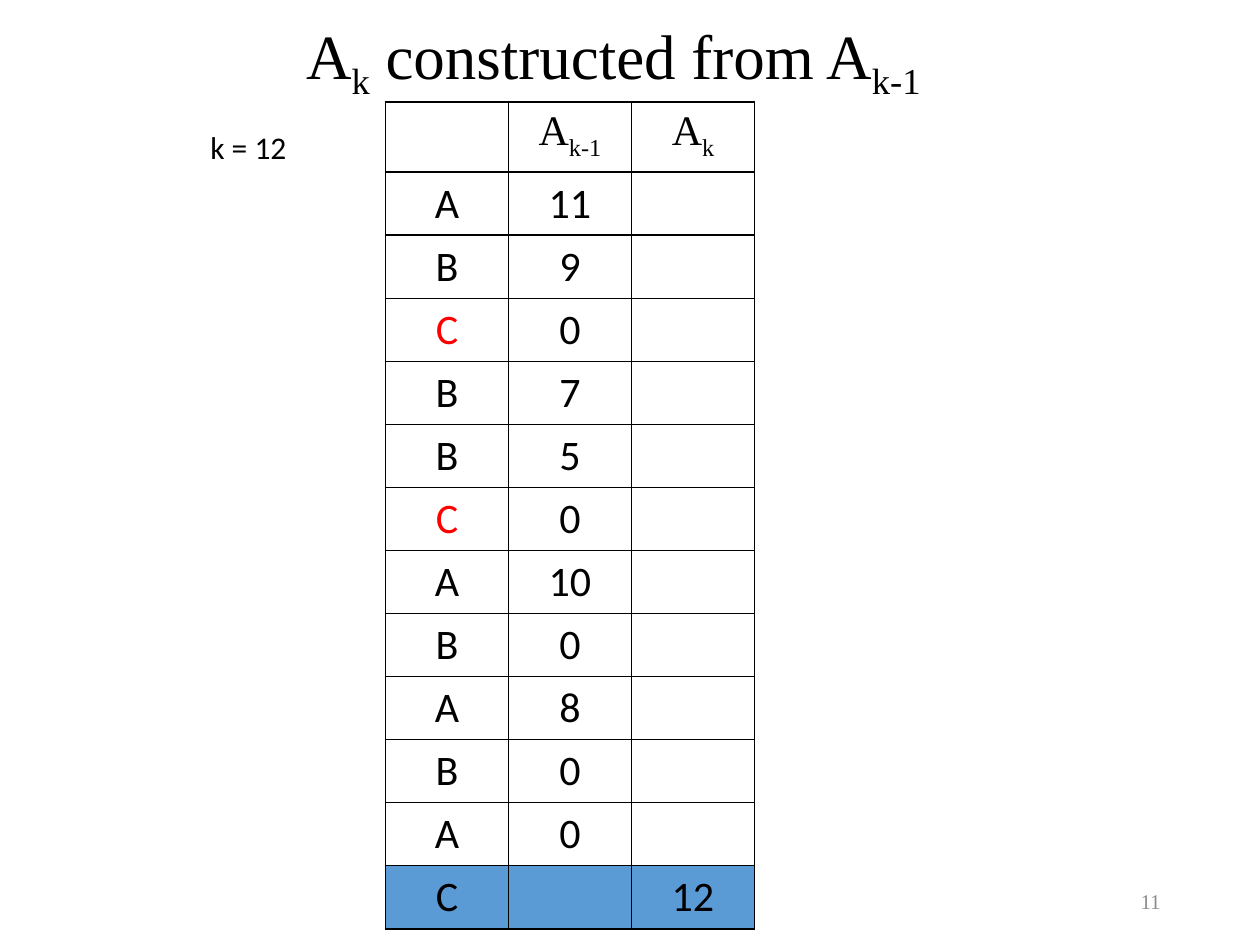
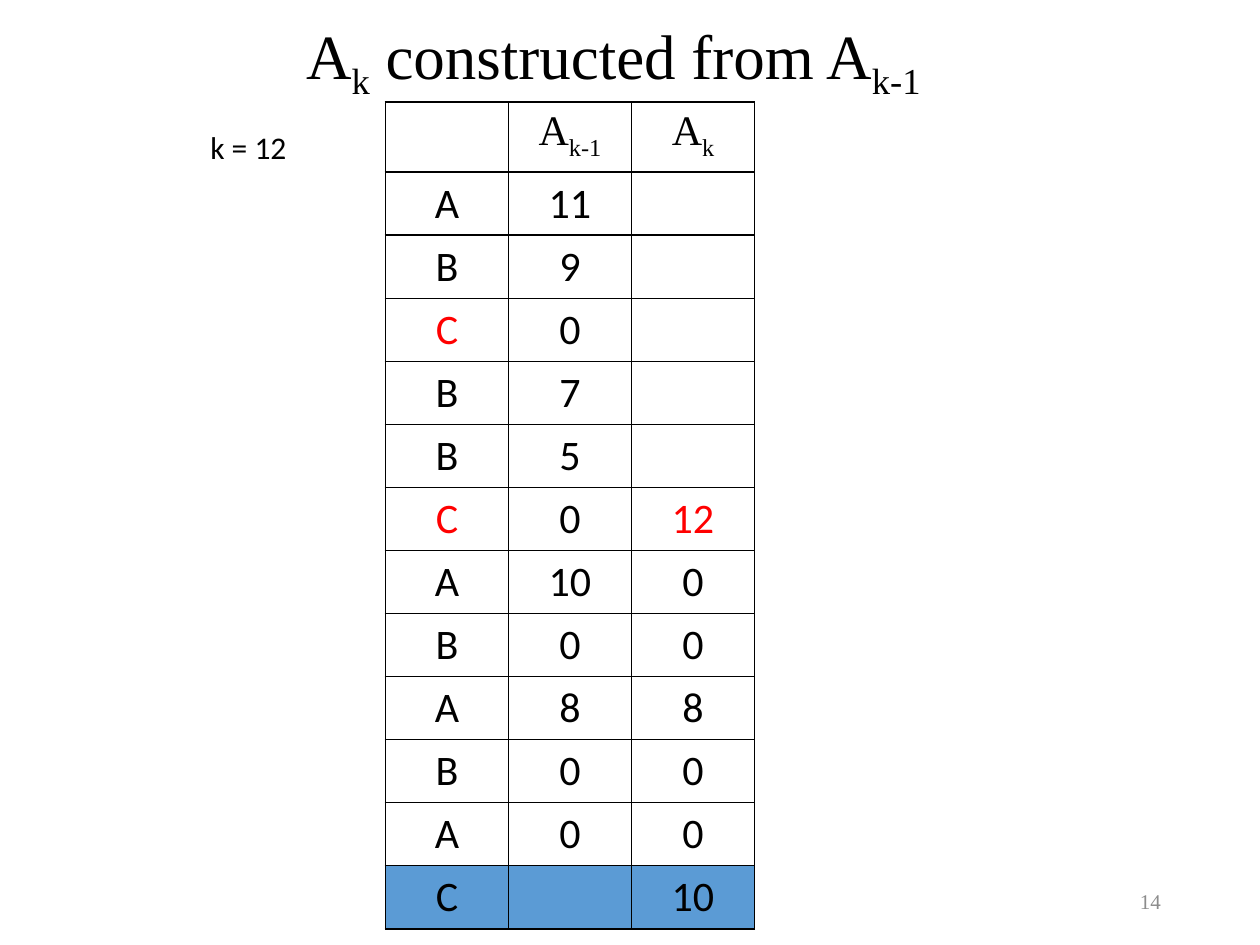
from dataclasses import dataclass
from typing import NamedTuple

from lxml.etree import SubElement
from pptx import Presentation
from pptx.dml.color import RGBColor
from pptx.enum.text import MSO_ANCHOR, MSO_AUTO_SIZE, PP_ALIGN
from pptx.oxml.ns import qn
from pptx.util import Cm, Pt

SERIF, SANS = "Times New Roman", "Calibri"
BLACK, RED, GREY, BLUE = "000000", "FF0000", "8C8C8C", "5B9BD5"


class Bit(NamedTuple):
    text: str
    sub: bool = False


@dataclass(frozen=True)
class Style:
    size: float
    font: str
    color: str = BLACK
    align: PP_ALIGN = PP_ALIGN.CENTER


@dataclass(frozen=True)
class Box:
    left: float
    top: float
    width: float
    height: float

    def place(self) -> tuple:
        return Cm(self.left), Cm(self.top), Cm(self.width), Cm(self.height)


@dataclass(frozen=True)
class Step:
    page: int
    filled: tuple[str, ...]  # values of the new column, ending in the last row
    reds: tuple[int, ...] = ()  # rows of the new column set in red


# Shared content
PREV = [Bit("A"), Bit("k-1", True)]
NEXT = [Bit("A"), Bit("k", True)]
TITLE = [*NEXT, Bit(" constructed from A"), Bit("k-1", True)]
KEYS = "ABCBBCABABAC"
OLD = ("11", "9", "0", "7", "5", "0", "10", "0", "8", "0", "0", "")
STEPS = [
    Step(11, ("12",)),
    Step(14, ("12", "0", "0", "8", "0", "0", "10"), (5,)),
]

# Shared places and styles
HEAD_BOX = Box(1.42, -0.71, 21.89, 3.68)
PAGE_BOX = Box(17.93, 17.65, 5.72, 1.02)
NOTE_BOX = Box(3.99, 2.46, 2.06, 1.02)
GRID_BOX = Box(7.77, 2.06, 7.44, 16.51)
ROW_H = 1.19
HEAD = Style(36, SERIF)
PAGE = Style(12, SERIF, GREY, PP_ALIGN.RIGHT)
NOTE = Style(18, SANS, BLACK, PP_ALIGN.LEFT)
TOP_CELL = Style(24, SERIF)
CELL = Style(24, SANS)
RED_CELL = Style(24, SANS, RED)


def paint(fill, color: str) -> None:
    fill.solid()
    fill.fore_color.rgb = RGBColor.from_string(color)


def write(frame, bits: list[Bit], style: Style) -> None:
    para = frame.paragraphs[0]
    para.alignment = style.align
    for bit in bits:
        run = para.add_run()
        run.text = bit.text
        run.font.size = Pt(style.size)
        run.font.name = style.font
        paint(run.font.fill, style.color)
        if bit.sub:
            run.font.bold = False
            run._r.get_or_add_rPr().set("baseline", "-25000")


def edge(cell) -> None:
    props = cell._tc.get_or_add_tcPr()
    for side in ("lnL", "lnR", "lnT", "lnB"):
        line = SubElement(props, qn(f"a:{side}"), w=str(Pt(1)))
        fill = SubElement(line, qn("a:solidFill"))
        SubElement(fill, qn("a:srgbClr"), val=BLACK)


def add_head(slide) -> None:
    head = slide.shapes.title
    head.left, head.top, head.width, head.height = HEAD_BOX.place()
    frame = head.text_frame
    frame.auto_size = MSO_AUTO_SIZE.NONE
    frame.word_wrap = True
    frame.vertical_anchor = MSO_ANCHOR.MIDDLE
    write(frame, TITLE, HEAD)
    frame.paragraphs[0].line_spacing = 0.9


def add_text(slide, box: Box, text: str, style: Style, wrap: bool) -> None:
    frame = slide.shapes.add_textbox(*box.place()).text_frame
    frame.word_wrap = wrap
    if wrap:
        frame.vertical_anchor = MSO_ANCHOR.MIDDLE
    else:
        frame.auto_size = MSO_AUTO_SIZE.SHAPE_TO_FIT_TEXT
    write(frame, [Bit(text)], style)


def add_grid(slide, step: Step) -> None:
    new = ("",) * (len(KEYS) - len(step.filled)) + step.filled
    rows = list(zip(KEYS, OLD, new))
    last = len(rows) - 1
    table = slide.shapes.add_table(len(rows) + 1, 3, *GRID_BOX.place()).table
    table.first_row = table.horz_banding = False
    for row in table.rows:
        row.height = Cm(ROW_H)
    for cell in table.iter_cells():
        edge(cell)
        cell.fill.background()

    # Header row
    for col, bits in enumerate((PREV, NEXT), 1):
        write(table.cell(0, col).text_frame, bits, TOP_CELL)

    # Body: each earlier C is red, the last row is shaded
    for num, row in enumerate(rows):
        for col, text in enumerate(row):
            cell = table.cell(num + 1, col)
            if num == last:
                paint(cell.fill, BLUE)
            hot = (text == "C" and num < last) or (col == 2 and num in step.reds)
            if text:
                write(cell.text_frame, [Bit(text)], RED_CELL if hot else CELL)


def main() -> None:
    deck = Presentation()
    deck.slide_width, deck.slide_height = Cm(25.4), Cm(19.05)
    plain = deck.slide_layouts.get_by_name("Title Only")
    for step in STEPS:
        slide = deck.slides.add_slide(plain)
        add_head(slide)
        add_text(slide, PAGE_BOX, str(step.page), PAGE, True)
        add_grid(slide, step)
        add_text(slide, NOTE_BOX, "k = 12", NOTE, False)
    deck.save("out.pptx")


if __name__ == "__main__":
    main()
